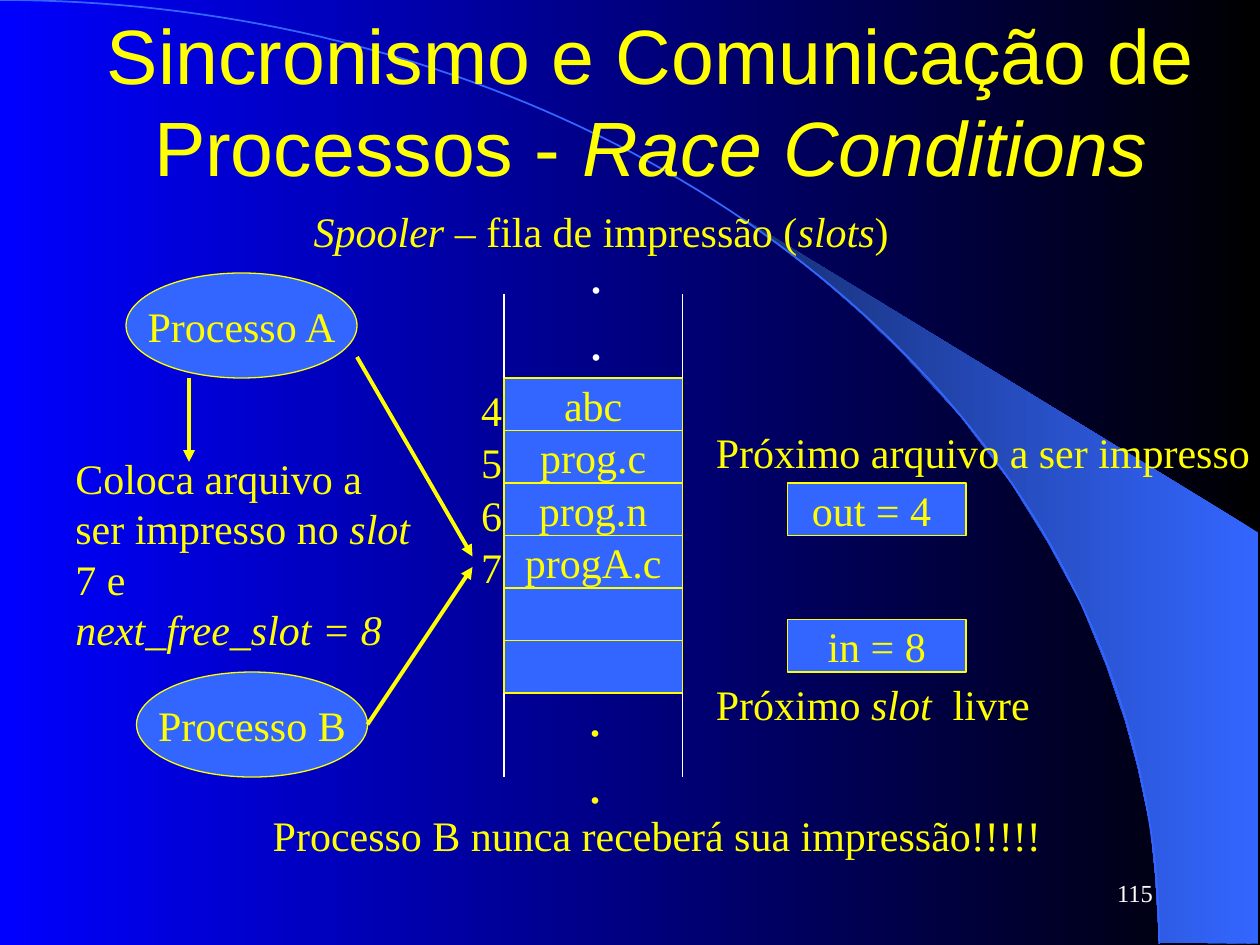
from math import cos, pi, sin

from pptx import Presentation
from pptx.dml.color import RGBColor
from pptx.enum.shapes import MSO_CONNECTOR, MSO_SHAPE
from pptx.enum.text import MSO_ANCHOR, MSO_AUTO_SIZE, PP_ALIGN
from pptx.oxml.ns import qn
from pptx.util import Inches, Pt
from lxml.etree import SubElement

YELLOW = RGBColor(0xFF, 0xFF, 0x00)
WHITE = RGBColor(0xFF, 0xFF, 0xFF)
BLACK = RGBColor(0x00, 0x00, 0x00)
BLUE = RGBColor(0x00, 0x00, 0xFF)
SKY = RGBColor(0x33, 0x66, 0xFF)
NAVY = RGBColor(0x17, 0x2F, 0x75)

UNIT = Inches(1) / 12
ROW, CELL_W = 5, 17
QUEUE_X, QUEUE_Y = 48, 36
FILES = ["abc", "prog.c", "prog.n", "progA.c", "", ""]
BAND = [(9.2, 7.48), (9.99, 7.49), (9.99, 4.23), (5.89, 1.73), (6.24, 1.99),
        (6.53, 2.22), (6.85, 2.5), (7.16, 2.8), (7.62, 3.3), (8.03, 3.84),
        (8.32, 4.31), (8.58, 4.79), (8.78, 5.28), (8.93, 5.72), (9.03, 6.09),
        (9.13, 6.56), (9.17, 6.96), (9.2, 7.48)]


def grid(*units):
    return [round(u * UNIT) for u in units]


def write(s, text, size=24, font="Times New Roman", color=YELLOW,
          align=PP_ALIGN.LEFT, anchor=MSO_ANCHOR.TOP, wrap=False, grow=False):
    tf = s.text_frame
    tf.word_wrap = wrap
    tf.auto_size = MSO_AUTO_SIZE.SHAPE_TO_FIT_TEXT if grow else MSO_AUTO_SIZE.NONE
    tf.vertical_anchor = anchor
    for i, line in enumerate(text.split("\n")):
        p = tf.paragraphs[0] if i == 0 else tf.add_paragraph()
        p.alignment = align
        for j, part in enumerate(line.split("*")):
            if part:
                r = p.add_run()
                r.text = part
                r.font.size = Pt(size)
                r.font.name = font
                r.font.color.rgb = color
                r.font.italic = j % 2 == 1


def add_label(sp, text, x, y, w, h=6, grow=True, **fmt):
    write(sp.add_textbox(*grid(x, y, w, h)), text, grow=grow, **fmt)


def add_node(sp, kind, text, x, y, w, h):
    s = sp.add_shape(kind, *grid(x, y, w, h))
    s.shadow.inherit = False
    s.fill.solid()
    s.fill.fore_color.rgb = SKY
    s.line.color.rgb = YELLOW
    s.line.width = Pt(0.75)
    if text:
        write(s, text, align=PP_ALIGN.CENTER, anchor=MSO_ANCHOR.MIDDLE)


def add_line(sp, x1, y1, x2, y2, color=WHITE, width=0.75, arrow=False):
    c = sp.add_connector(MSO_CONNECTOR.STRAIGHT, *grid(x1, y1, x2, y2))
    c.line.color.rgb = color
    c.line.width = Pt(width)
    if arrow:
        SubElement(c.line._get_or_add_ln(), qn("a:tailEnd"), type="triangle")
    SubElement(c._element.spPr, qn("a:effectLst"))


def set_gradient(fill, right, left):
    fill.gradient()
    fill.gradient_angle = 180
    for stop, color in zip(fill.gradient_stops, (right, left)):
        stop.color.rgb = color


def add_outline(sp, points, close):
    start, *rest = [(Inches(x), Inches(y)) for x, y in points]
    b = sp.build_freeform(*start)
    b.add_line_segments(rest, close=close)
    s = b.convert_to_shape()
    s.shadow.inherit = False
    return s


def add_backdrop(sp):
    band = add_outline(sp, BAND, True)
    set_gradient(band.fill, SKY, NAVY)
    band.line.fill.background()
    angles = [pi / 2 * i / 90 for i in range(91)]
    arc = add_outline(sp, [(9.2 * sin(a), 7.49 * (1 - cos(a))) for a in angles], False)
    arc.fill.background()
    arc.line.color.rgb = SKY
    arc.line.width = Pt(1)


def add_queue(sp):
    for i, name in enumerate(FILES):
        y = QUEUE_Y + i * ROW
        add_node(sp, MSO_SHAPE.RECTANGLE, name, QUEUE_X, y, CELL_W, ROW)
        if name:
            add_label(sp, str(4 + i), 44.64, y, 4.32)
    bottom = QUEUE_Y + len(FILES) * ROW
    for x in (QUEUE_X, QUEUE_X + CELL_W):
        for y in (QUEUE_Y - 8, bottom):
            add_line(sp, x, y, x, y + 8)
    add_label(sp, ".\n.", 54.96, 22, 3.72, 14, size=32, color=WHITE, wrap=True)
    add_label(sp, ".\n.", 54.84, 64.2, 3.72, 14, size=32, wrap=True)


def add_processes(sp):
    add_node(sp, MSO_SHAPE.OVAL, "Processo A", 12, 26, 22, 10)
    add_node(sp, MSO_SHAPE.OVAL, "Processo B", 13, 64, 22, 10)
    for ends in ((34, 34, 45, 53), (35, 69, 45, 54), (18, 36, 18, 44)):
        add_line(sp, *ends, color=YELLOW, width=2.25, arrow=True)
    add_label(sp, "Coloca arquivo a\nser impresso no *slot*\n7 e\n*next_free_slot = 8*",
              6, 42.5, 35.3, 20.4)


def add_pointers(sp):
    add_node(sp, MSO_SHAPE.RECTANGLE, "out = 4 ", 75, 46, CELL_W, ROW)
    add_node(sp, MSO_SHAPE.RECTANGLE, "in = 8", 75, 59, CELL_W, ROW)
    add_label(sp, "Próximo arquivo a ser impresso", 67, 40, 53.3)
    add_label(sp, "Próximo *slot * livre", 67, 64, 32.3)


def main():
    prs = Presentation()
    prs.slide_width, prs.slide_height = grid(120, 90)
    slide = prs.slides.add_slide(prs.slide_layouts[6])
    set_gradient(slide.background.fill, BLACK, BLUE)
    sp = slide.shapes
    add_backdrop(sp)
    add_label(sp, "Sincronismo e Comunicação de Processos - *Race Conditions*",
              8, 2, 108, 15, size=44, font="Arial", align=PP_ALIGN.CENTER,
              anchor=MSO_ANCHOR.MIDDLE, wrap=True, grow=False)
    add_queue(sp)
    add_pointers(sp)
    add_processes(sp)
    add_label(sp, "*Spooler *– fila de impressão (*slots*)", 28.25, 19, 58,
              align=PP_ALIGN.CENTER)
    add_label(sp, "Processo B nunca receberá sua impressão!!!!!", 24.8, 76.5, 75.6)
    add_label(sp, "115", 86, 82, 25, size=14, color=WHITE, align=PP_ALIGN.RIGHT,
              anchor=MSO_ANCHOR.MIDDLE, wrap=True, grow=False)
    prs.save("out.pptx")


if __name__ == "__main__":
    main()
